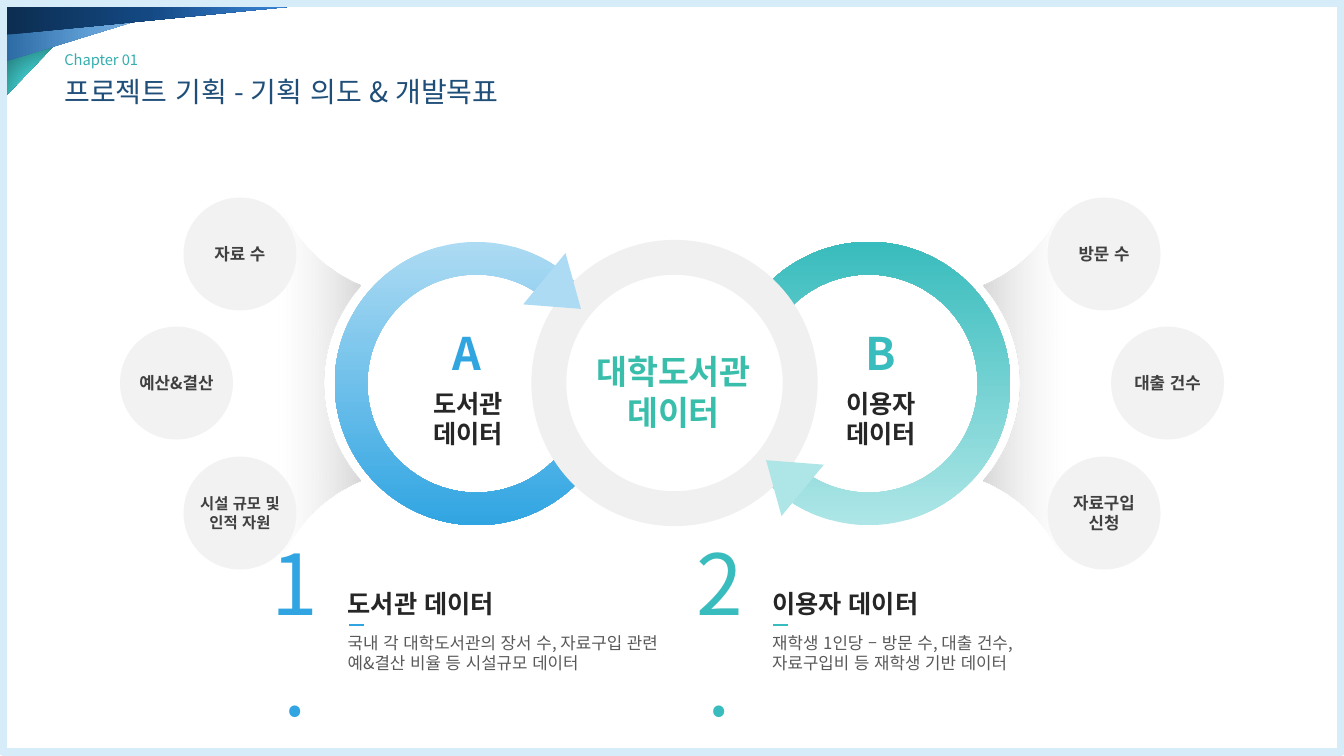
import pptx
import pptx.dml.color
import pptx.enum.lang
import pptx.enum.shapes
import pptx.enum.text
import pptx.oxml
import pptx.oxml.ns
import pptx.util

PX = 9144
WIDTH, HEIGHT = 1333, 750
SHAPES = pptx.enum.shapes.MSO_SHAPE
ALIGN = pptx.enum.text.PP_ALIGN
ANCHOR = pptx.enum.text.MSO_ANCHOR
NAMESPACE = 'xmlns:a="http://schemas.openxmlformats.org/drawingml/2006/main"'


class Theme:
    font = "Noto Sans CJK KR"
    blue, pale_blue = "31A5E2", "ADDBF3"
    teal, pale_teal = "39BCBD", "AEE6E7"
    bubble, ring, frame = "F2F2F2", "F1F0F0", "D6EDF9"
    dark, bubble_text, body_text = "262626", "404040", "595959"
    title, chapter = "1F4E79", "34AEAE"
    letter_blue, center = "30A5E0", "39BEAC"
    band = [(0, "F2F2F2", 0), (98, "D9D9D9", 100)]
    teal_corner = [(0, "AEE6E7", 100), (46, "3EC4C5", 100), (100, "227171", 100)]
    blue_corner = [(0, "2A69A2", 100), (48, "609ED6", 100), (100, "9DC3E6", 100)]
    navy_corner = [(0, "0C2D50", 100), (48, "134882", 100), (100, "3D8CE2", 100)]
    sizes = {"number": 60, "letter": 32, "center": 24, "title": 20, "heading": 18,
             "body": 12, "small": 11, "chapter": 10.5}


def emu(*lengths):
    return [round(length * PX) for length in lengths]


def rgb(color):
    return pptx.dml.color.RGBColor.from_string(color)


def write(frame, lines, size, color, bold=False, align=ALIGN.LEFT, spacing=None):
    values = {"name": Theme.font, "size": pptx.util.Pt(Theme.sizes[size]), "bold": bold,
              "language_id": pptx.enum.lang.MSO_LANGUAGE_ID.KOREAN}
    for index, line in enumerate(lines):
        para = frame.paragraphs[0] if index == 0 else frame.add_paragraph()
        para.text = line
        para.alignment = align
        para.line_spacing = spacing
        for span in para.runs:
            for name, value in values.items():
                setattr(span.font, name, value)
            span.font.color.rgb = rgb(color)
            span.font._element.append(
                pptx.oxml.parse_xml(f'<a:ea {NAMESPACE} typeface="{Theme.font}"/>'))


def add_text(page, place, lines, size, color, anchor=ANCHOR.TOP, wrap=True, **format_values):
    box = page.shapes.add_textbox(*emu(*place))
    frame = box.text_frame
    settings = {"word_wrap": wrap, "vertical_anchor": anchor,
                "auto_size": pptx.enum.text.MSO_AUTO_SIZE.SHAPE_TO_FIT_TEXT}
    for name, value in settings.items():
        setattr(frame, name, value)
    write(frame, lines, size, color, **format_values)


def paint_gradient(shape, stops, angle=None):
    marks = "".join(
        f'<a:gs pos="{place * 1000}"><a:srgbClr val="{color}">'
        f'<a:alpha val="{alpha * 1000}"/></a:srgbClr></a:gs>'
        for place, color, alpha in stops)
    if angle is None:
        direction = ('<a:path path="circle"><a:fillToRect l="50000" t="130000" '
                     'r="50000" b="-30000"/></a:path>')
    else:
        direction = f'<a:lin ang="{angle * 60000}" scaled="0"/>'
    shape.fill.background()
    properties = shape._element.spPr
    properties.replace(properties.find(pptx.oxml.ns.qn("a:noFill")), pptx.oxml.parse_xml(
        f'<a:gradFill {NAMESPACE} rotWithShape="1"><a:gsLst>{marks}</a:gsLst>'
        f'{direction}</a:gradFill>'))


def add_preset(page, kind, place, color=None, rotation=0, adjustments=()):
    shape = page.shapes.add_shape(kind, *emu(*place))
    shape.shadow.inherit = False
    shape.rotation = rotation
    shape.line.fill.background()
    for index, value in enumerate(adjustments):
        shape.adjustments[index] = value
    if color:
        shape.fill.solid()
        shape.fill.fore_color.rgb = rgb(color)
    return shape


def add_bubble(page, left, top, lines, size="body"):
    bubble = add_preset(page, SHAPES.OVAL, (left, top, 112, 112), Theme.bubble)
    bubble.text_frame.word_wrap = False
    bubble.text_frame.vertical_anchor = ANCHOR.MIDDLE
    write(bubble.text_frame, lines, size, Theme.bubble_text, True, ALIGN.CENTER)


def add_rule(page, left, top, color):
    rule = page.shapes.add_connector(
        pptx.enum.shapes.MSO_CONNECTOR.STRAIGHT, *emu(left, top, left + 15, top))
    rule.line.color.rgb = rgb(color)
    rule.line.width = pptx.util.Pt(1.25)
    rule._element.spPr.append(pptx.oxml.parse_xml(f"<a:effectLst {NAMESPACE}/>"))


def bend(shape, first_segments):
    segments = list(shape._element.iter(pptx.oxml.ns.qn("a:lnTo")))
    for first in first_segments:
        trio = segments[first:first + 3]
        arc = pptx.oxml.parse_xml(f"<a:cubicBezTo {NAMESPACE}/>")
        trio[0].addprevious(arc)
        for segment in trio:
            arc.append(segment[0])
            segment.getparent().remove(segment)


def add_band(page, mirrored):
    upper = [(277, 200), (283, 217), (293, 232), (304, 245), (318, 261), (335, 273),
             (352, 281), (357, 283), (356, 285), (334, 311), (321, 344), (321, 380)]
    outline = upper + [(x, 760 - y) for x, y in reversed(upper[:-1])]
    if mirrored:
        outline = [(WIDTH - x, y) for x, y in outline]
    points = [emu(*point) for point in outline]
    builder = page.shapes.build_freeform(*points[0], scale=1.0)
    builder.add_line_segments(points[1:], close=True)
    band = builder.convert_to_shape()
    bend(band, (0, 3, 8, 11, 16, 19))
    band.shadow.inherit = False
    band.line.fill.background()
    paint_gradient(band, Theme.band, 180 if mirrored else 0)


def add_detail(page, left, number, heading, body, widths, color):
    heading_width, body_width = widths
    add_text(page, (left, 572, 85, 111), [number], "number", color,
             ANCHOR.MIDDLE, align=ALIGN.CENTER)
    add_text(page, (left + 85, 623, body_width, 50), body, "body", Theme.body_text)
    add_text(page, (left + 85, 579, heading_width, 40), [heading], "heading",
             Theme.dark, bold=True)
    add_rule(page, left + 96, 620, color)


def add_ring(page, left, rotation, pale, strong):
    arc = add_preset(page, SHAPES.BLOCK_ARC, (left, 240, 281, 281),
                     rotation=rotation, adjustments=(76.86, 32.29, 0.115))
    paint_gradient(arc, [(0, pale, 100), (100, strong, 100)], 180)


def add_label(page, left, letter, color, first_line):
    centered = {"bold": True, "align": ALIGN.CENTER}
    add_text(page, (left, 380, 164, 71), [first_line, "데이터"], "heading",
             Theme.dark, **centered)
    add_text(page, (left + 38, 318, 87, 64), [letter], "letter", color,
             ANCHOR.MIDDLE, **centered)


def add_diagram(page):
    for mirrored in (False, True):
        add_band(page, mirrored)
    bubbles = [
        (119, 324, ["예산&결산"], ["대출 건수"], "body"),
        (182, 196, ["자료 수"], ["방문 수"], "body"),
        (182, 453, ["시설 규모 및\v인적 자원"], ["자료구입", "신청"], "small"),
    ]
    for left, top, library, user, library_size in bubbles:
        add_bubble(page, left, top, library, library_size)
        add_bubble(page, WIDTH - left - 112, top, user)
    add_ring(page, 721, 90, Theme.pale_teal, Theme.teal)
    add_ring(page, 332, 270, Theme.pale_blue, Theme.blue)
    add_preset(page, SHAPES.DONUT, (527, 238, 284, 284), Theme.ring, adjustments=(0.122,))
    for left, top, rotation, color in ((525, 268, 129.5, Theme.pale_blue),
                                       (745, 448, 309.5, Theme.pale_teal)):
        add_preset(page, SHAPES.ISOSCELES_TRIANGLE, (left, top, 66, 47), color, rotation)
    add_label(page, 382, "A", Theme.letter_blue, "도서관")
    add_label(page, 792, "B", Theme.teal, "이용자")
    add_text(page, (574, 343, 188, 91), ["대학도서관", "데이터"], "center", Theme.center,
             ANCHOR.MIDDLE, wrap=False, bold=True, align=ALIGN.CENTER)


def add_frame(page):
    corners = [((2, 7, 92, 88), Theme.teal_corner, None),
               ((66, -57, 56, 181), Theme.blue_corner, 270),
               ((137, -127, 29, 294), Theme.navy_corner, 270)]
    for place, stops, angle in corners:
        corner = add_preset(page, SHAPES.RIGHT_TRIANGLE, place, rotation=90)
        paint_gradient(corner, stops, angle)
    border = add_preset(page, SHAPES.RECTANGLE, (3, 3, 1327, 743))
    border.fill.background()
    border.line.color.rgb = rgb(Theme.frame)
    border.line.width = pptx.util.Pt(5.25)


def main():
    deck = pptx.Presentation()
    deck.slide_width, deck.slide_height = emu(WIDTH, HEIGHT)
    page = deck.slides.add_slide(deck.slide_layouts[6])
    add_detail(page, 250, "1.", "도서관 데이터",
               ["국내 각 대학도서관의 장서 수, 자료구입 관련 예&결산 비율 등 시설규모 데이터"],
               (281, 328), Theme.blue)
    add_detail(page, 671, "2.", "이용자 데이터",
               ["재학생 1인당 – 방문 수, 대출 건수,", "자료구입비 등 재학생 기반 데이터"],
               (196, 301), Theme.teal)
    add_diagram(page)
    add_frame(page)
    add_text(page, (54, 44, 98, 29), ["Chapter 01"], "chapter", Theme.chapter,
             ANCHOR.BOTTOM, wrap=False, spacing=1.1)
    add_text(page, (54, 69, 506, 44), ["프로젝트 기획 - 기획 의도 & 개발목표"], "title",
             Theme.title, wrap=False)
    deck.save("out.pptx")


if __name__ == "__main__":
    main()
